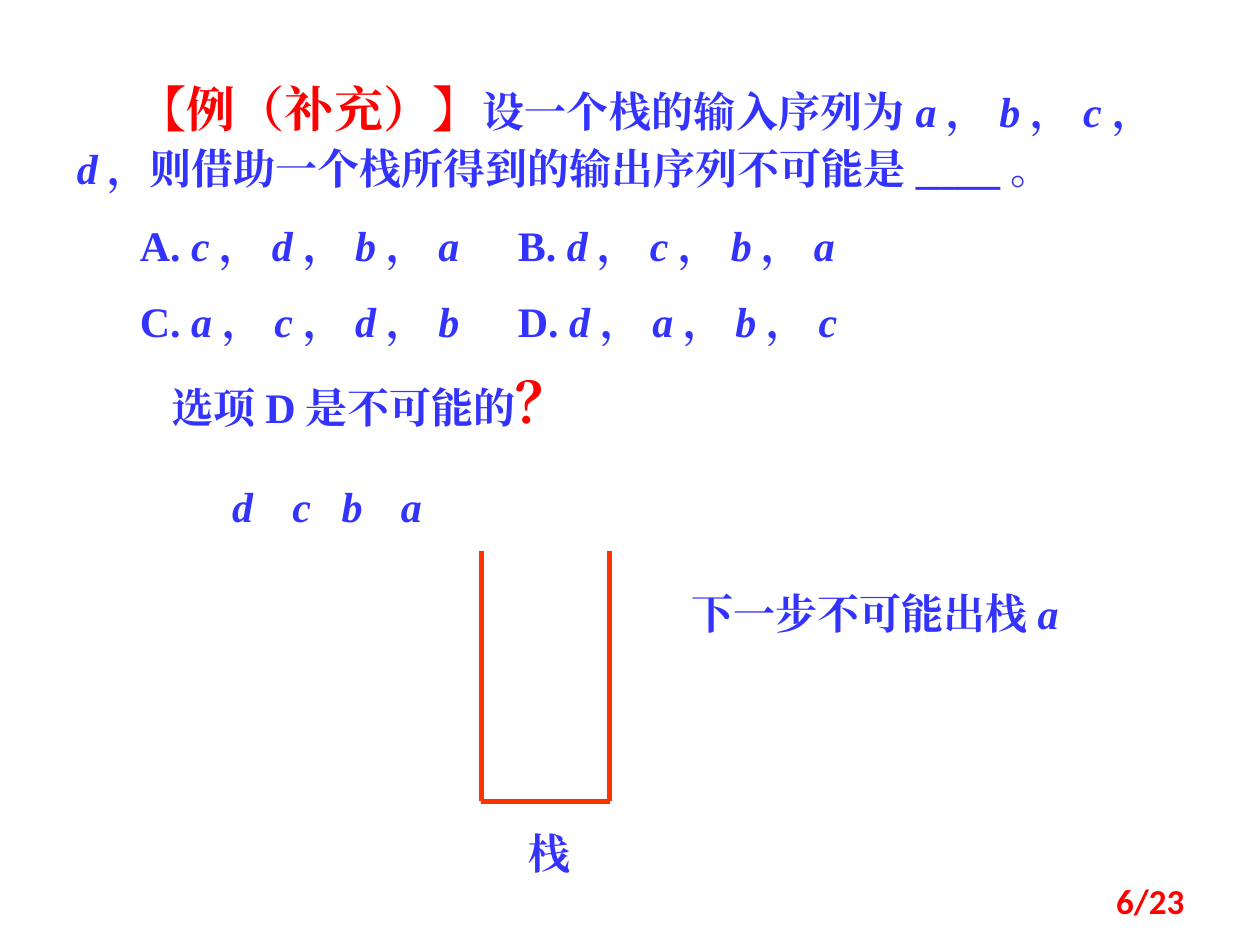
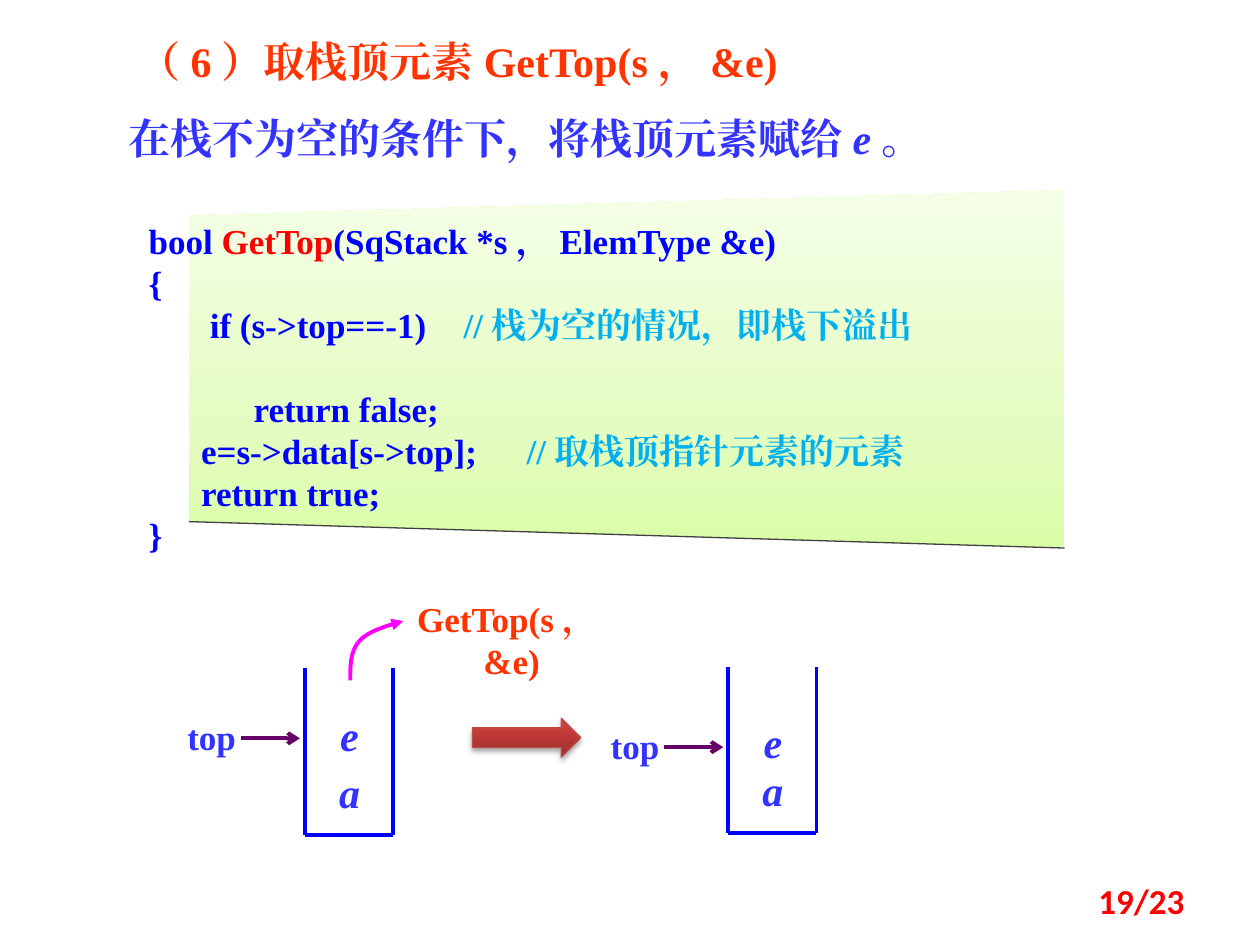
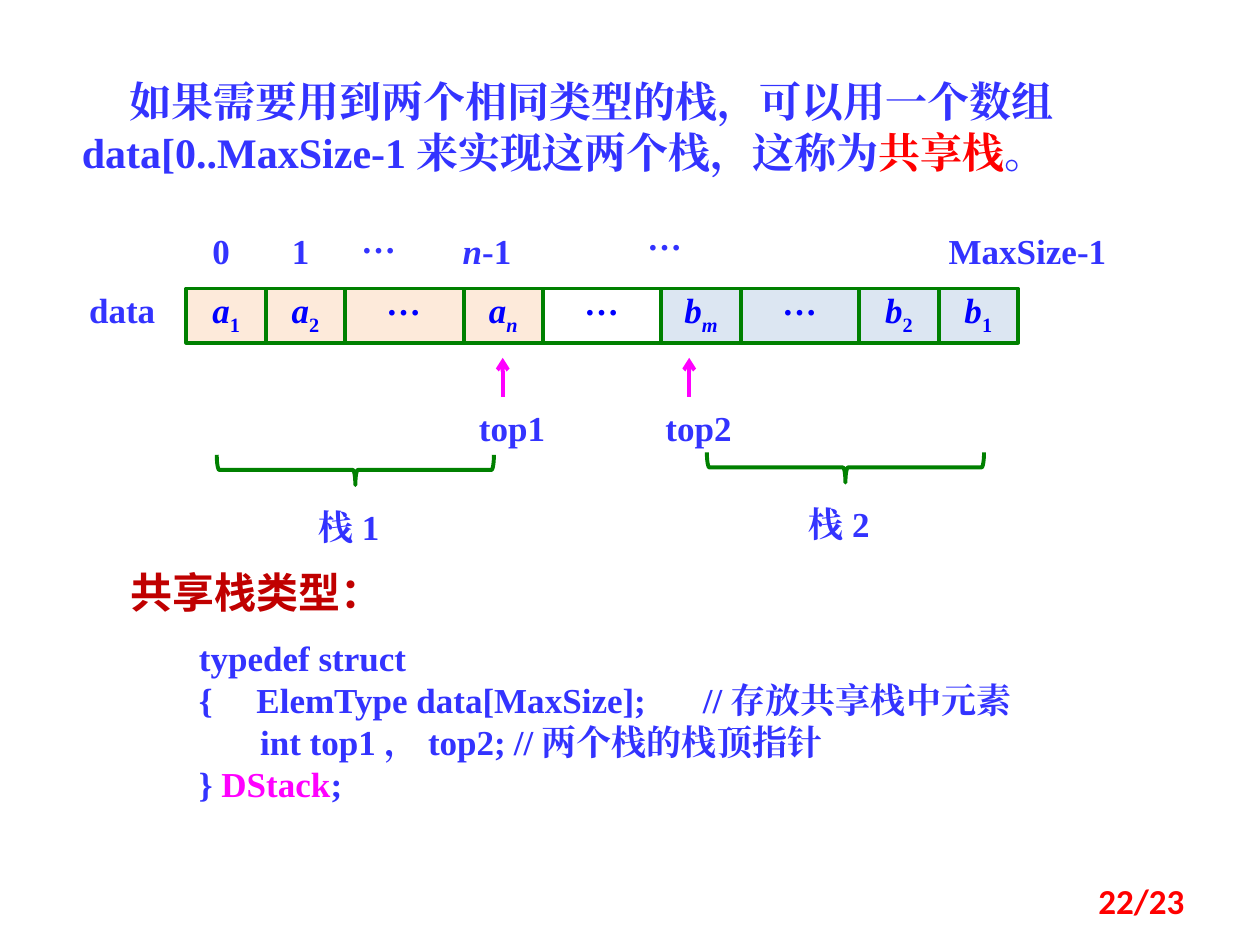
"""Build three slides on stacks: a quiz, the GetTop function and the shared stack."""
from dataclasses import dataclass
from typing import NamedTuple

from lxml.etree import SubElement as Sub
from pptx import Presentation
from pptx.dml.color import RGBColor
from pptx.enum.shapes import MSO_CONNECTOR as Link, MSO_SHAPE as Kind
from pptx.enum.text import MSO_ANCHOR as Anchor, MSO_AUTO_SIZE as Fit, PP_ALIGN as Align
from pptx.oxml.ns import qn
from pptx.util import Inches, Pt

BLUE, RED, ORANGE, PINK = "3333FF", "FF0000", "FF3300", "FF00FF"
CODE, NOTE, GREEN, PLUM = "0000FF", "00B0F0", "008000", "660066"
PEACH, PALE, BRICK = "FDEADA", "DCE6F2", "C00000"
SERIF, SANS, PLAIN = "Times New Roman", "Noto Sans CJK SC", "Calibri"
GAP = 12
FLUSH = (0, 0, 0, 0)
CENTER = Align.CENTER


class Run(NamedTuple):
    text: str
    color: str = ""
    size: float = 0
    italic: bool = False
    sub: bool = False


@dataclass
class Stack:
    x: float
    y: float
    high: float
    arrow: float
    cells: tuple[float, float]


@dataclass
class Cell:
    name: str
    index: str
    fill: str = ""
    slant: bool = False


class Label(NamedTuple):
    text: str
    x: float
    y: float
    w: float


def paint(color: str) -> RGBColor:
    return RGBColor.from_string(color)


def it(text: str) -> Run:
    return Run(text, italic=True)


def series(letters: str) -> list:
    """Set letters in italics with upright commas between them."""
    runs = []
    for letter in letters:
        runs += ["，", it(letter)]
    return runs[1:]


def write(frame, paras: list, *, size=24, color=BLUE, font=SERIF, align=Align.LEFT,
          space=0, lead=None, indent=0, tabs=(), gaps=None, inset=(.1, .05, .1, .05),
          anchor=Anchor.TOP) -> None:
    frame.word_wrap, frame.auto_size, frame.vertical_anchor = True, Fit.NONE, anchor
    (frame.margin_left, frame.margin_top,
     frame.margin_right, frame.margin_bottom) = map(Inches, inset)
    for i, runs in enumerate(paras):
        para = frame.add_paragraph() if i else frame.paragraphs[0]
        props = para._p.get_or_add_pPr()
        props.set("marL", "0")
        props.set("indent", str(Inches(indent)))
        Sub(props, qn("a:buNone"))
        if tabs:
            stops = Sub(props, qn("a:tabLst"))
            for tab in tabs:
                Sub(stops, qn("a:tab"), pos=str(Inches(tab)), algn="l")
        para.alignment = align
        para.space_before = Pt((gaps or {}).get(i, space if i else 0))
        if lead:
            para.line_spacing = lead
        for run in [runs] if isinstance(runs, str) else runs:
            bit = Run(run) if isinstance(run, str) else run
            part = para.add_run()
            part.text = bit.text
            face = part.font
            face.name, face.bold, face.italic = font, True, bit.italic
            face.size = Pt(bit.size or size)
            face.color.rgb = paint(bit.color or color)
            Sub(part._r.rPr, qn("a:ea"), typeface=font)
            if bit.sub:
                part._r.rPr.set("baseline", "-25000")


def place(shape, x: float, y: float, w: float, h: float):
    shape.left, shape.top, shape.width, shape.height = map(Inches, (x, y, w, h))
    return shape.text_frame


def text(slide, x: float, y: float, w: float, h: float, paras: list, **style) -> None:
    box = slide.shapes.add_textbox(*map(Inches, (x, y, w, h)))
    write(box.text_frame, paras, **style)


def tag(slide, x: float, y: float, w: float, runs, size: float = 20, **style) -> None:
    """Write one centred label without insets."""
    text(slide, x, y, w, .4 if size > 20 else .34, [runs], size=size,
         align=CENTER, inset=FLUSH, **style)


def tip(shape, end: str, kind: str) -> None:
    Sub(shape.line._get_or_add_ln(), qn(f"a:{end}End"), type=kind)


def line(slide, x1: float, y1: float, x2: float, y2: float, color: str,
         width: float = 2.25, arrow: bool = False) -> None:
    link = slide.shapes.add_connector(Link.STRAIGHT, *map(Inches, (x1, y1, x2, y2)))
    link.line.color.rgb, link.line.width = paint(color), Pt(width)
    Sub(link._element.spPr, qn("a:effectLst"))
    if arrow:
        tip(link, "tail", "arrow")


def finish(shape, fill: str = "", edge: str = "", width: float = 2.25):
    shape.shadow.inherit = False
    if fill:
        shape.fill.solid()
        shape.fill.fore_color.rgb = paint(fill)
    else:
        shape.fill.background()
    if edge:
        shape.line.color.rgb, shape.line.width = paint(edge), Pt(width)
    else:
        shape.line.fill.background()
    return shape


def shape(slide, kind, x: float, y: float, w: float, h: float, **look):
    return finish(slide.shapes.add_shape(kind, *map(Inches, (x, y, w, h))), **look)


def trace(slide, points: list, close: bool, **look):
    spots = [(Inches(x), Inches(y)) for x, y in points]
    form = slide.shapes.build_freeform(*spots[0], scale=1.0)
    form.add_line_segments(spots[1:], close=close)
    return finish(form.convert_to_shape(), **look)


def grade(form, stops: list) -> None:
    """Fill a shape with a gradient that rises from its foot."""
    form.fill.gradient()
    form.fill.gradient_angle = 90
    steps = form._element.spPr.find(".//" + qn("a:gsLst"))
    for old in list(steps):
        steps.remove(old)
    for pos, color in stops:
        step = Sub(steps, qn("a:gs"), pos=str(pos * 1000))
        Sub(step, qn("a:srgbClr"), val=color)


def shade(form, blur: float, dist: float, alpha: int) -> None:
    effects = form._element.spPr.find(qn("a:effectLst"))
    drop = Sub(effects, qn("a:outerShdw"), blurRad=str(Pt(blur)), dist=str(Pt(dist)),
               dir="5400000", rotWithShape="0")
    Sub(Sub(drop, qn("a:srgbClr"), val="000000"), qn("a:alpha"), val=str(alpha * 1000))


def curve(start: tuple, bends: list, steps: int = 8) -> list:
    """Sample a chain of cubic curves."""
    points = [start]
    for a, b, end in bends:
        start = points[-1]
        for k in range(1, steps + 1):
            t = k / steps
            u = 1 - t
            points.append(tuple(u**3 * p + 3 * u * u * t * q + 3 * u * t * t * r + t**3 * s
                                for p, q, r, s in zip(start, a, b, end)))
    return points


def well(slide, x: float, y: float, w: float, h: float, color: str, width: float) -> None:
    """Draw the open box of a stack."""
    for side in (x, x + w):
        line(slide, side, y, side, y + h, color, width)
    line(slide, x, y + h, x + w, y + h, color, width)


def begin(deck, layout: int, page: int):
    slide = deck.slides.add_slide(deck.slide_layouts[layout])
    text(slide, 7.17, 6.95, 2.33, .4, [f"{page}/23"], size=20, color=RED, font=PLAIN,
         align=Align.RIGHT, anchor=Anchor.MIDDLE)
    return slide


def quiz(deck) -> None:
    slide = begin(deck, 1, 6)
    title, body = slide.placeholders
    write(place(title, .51, .53, 8.83, 1.12),
          [[Run("【例（补充）】", RED, 28), "设一个栈的输入序列为", *series("abcd"),
            "，则借助一个栈所得到的输出序列不可能是____。"]],
          align=Align.JUSTIFY, lead=1.1, indent=.48)
    write(place(body, .51, 1.65, 8.83, 1.24),
          [["\tA. ", *series("cdba"), "\tB. ", *series("dcba")],
           ["\tC. ", *series("acdb"), "\tD. ", *series("dabc")]],
          space=GAP, lead=1.1, tabs=(1, 5))
    well(slide, 3.82, 4.37, 1.02, 1.99, ORANGE, 3)
    for letter, x in zip("dcba", (1.69, 2.16, 2.56, 3.03)):
        tag(slide, x, 3.81, .47, [it(letter)], 24)
    text(slide, 1.06, 2.87, 3.78, .64, [["选项D是不可能的", Run("？", RED, 32)]], align=CENTER)
    tag(slide, 4.13, 6.57, .47, "栈", 24)
    text(slide, 5.39, 4.61, 3.47, .5, [["下一步不可能出栈", it("a")]])


def get_top(deck) -> None:
    slide = begin(deck, 1, 19)
    title, body = slide.placeholders
    write(place(title, .62, .23, 9.08, .57), ["（6）取栈顶元素GetTop(s，&e)"],
          color=ORANGE, indent=.38)
    write(place(body, .62, .8, 9.08, .58),
          [["在栈不为空的条件下，将栈顶元素赋给", it("e"), "。"]], lead=1.1, indent=.3)
    panel = trace(slide, [(1.5, 1.71), (8.45, 1.51), (8.45, 4.35), (1.5, 4.14)], True)
    grade(panel, [(0, "DAFDA7"), (35, "E4FCC2"), (100, "F5FFE7")])
    line(slide, 1.5, 4.14, 8.45, 4.35, "404040", .75)
    text(slide, 1.02, 1.62, 7.34, 2.59,
         [["bool ", Run("GetTop", RED), "(SqStack *s，ElemType &e)"],
          "{",
          ["       if (s->top==-1)\t", Run("//栈为空的情况，即栈下溢出", NOTE)],
          "            return false;",
          ["      e=s->data[s->top];\t", Run("//取栈顶指针元素的元素", NOTE)],
          "      return true;",
          "}"],
         size=20, color=CODE, tabs=(3,), gaps={3: 24}, inset=(.16, .12, .16, .12))

    path = curve((3.2, 4.93), [((3.06, 4.97), (2.92, 5.01), (2.85, 5.09)),
                               ((2.78, 5.17), (2.78, 5.28), (2.78, 5.4))])
    tip(trace(slide, path, False, edge=PINK), "head", "triangle")
    text(slide, 3.12, 4.69, 1.88, .77, ["GetTop(s，&e)"], size=20, color=ORANGE, align=CENTER)
    for stack in (Stack(2.42, 5.3, 1.33, 5.86, (5.63, 6.08)),
                  Stack(5.78, 5.29, 1.32, 5.93, (5.69, 6.07))):
        well(slide, stack.x, stack.y, .7, stack.high, CODE, 2.25)
        line(slide, stack.x - .51, stack.arrow, stack.x - .04, stack.arrow, PLUM, arrow=True)
        tag(slide, stack.x - 1.21, stack.arrow - .18, .94, "top")
        for letter, y in zip("ea", stack.cells):
            tag(slide, stack.x + .04, y, .63, [it(letter)], 24)
    arrow = shape(slide, Kind.RIGHT_ARROW, 3.75, 5.7, .86, .31, edge="BF4C48", width=.75)
    grade(arrow, [(0, "9C2F2D"), (80, "CB3E3A"), (100, "CE3B37")])
    shade(arrow, 3.1, 1.8, 35)


def shared(deck) -> None:
    slide = begin(deck, 5, 22)
    write(place(slide.shapes.title, .55, .55, 8.52, .91),
          [["如果需要用到两个相同类型的栈，可以用一个数组data[0..MaxSize-1来实现这两个栈，这称为",
            Run("共享栈", RED), "。"]], indent=.38)
    x = 1.48
    for cell in (Cell("a", "1", PEACH), Cell("a", "2", PEACH), Cell("…", "", PEACH),
                 Cell("a", "n", PEACH, True), Cell("…", ""), Cell("b", "m", PALE, True),
                 Cell("…", "", PALE), Cell("b", "2", PALE), Cell("b", "1", PALE)):
        wide = .63 if cell.index else .94
        box = shape(slide, Kind.RECTANGLE, x, 2.29, wide, .43, fill=cell.fill, edge=GREEN)
        runs = ([it(cell.name), Run(cell.index, italic=cell.slant, sub=True)]
                if cell.index else cell.name)
        write(box.text_frame, [runs], size=20, color=CODE, font=SERIF if cell.index else SANS,
              align=CENTER, anchor=Anchor.MIDDLE, inset=(.1, 0, .1, .05))
        x += wide

    for label in (Label("0", 1.56, 1.82, .39), Label("1", 2.19, 1.82, .39),
                  Label("MaxSize-1", 7.49, 1.82, 1.33), Label("data", .62, 2.29, .7)):
        tag(slide, label.x, label.y, label.w, label.text)
    tag(slide, 3.67, 1.82, .39, [it("n"), "-1"])
    for x, y in ((2.81, 1.82), (5.08, 1.8)):
        tag(slide, x, y, .39, "…", font=SANS)
    for i, (x, mid, y) in enumerate(((3.99, 2.82, 3.73), (5.47, 6.71, 3.71)), 1):
        line(slide, x, 3.15, x, 2.84, PINK, arrow=True)
        tag(slide, x - .24, 3.23, .63, f"top{i}")
        brace = shape(slide, Kind.RIGHT_BRACE, mid - .12, y - 1.1, .24, 2.2, edge=GREEN)
        brace.rotation = 90
        tag(slide, mid - .4, y + .28, .7, f"栈{i}")

    text(slide, .94, 4.45, 2.42, .5, ["共享栈类型："], color=BRICK, font=SANS)
    text(slide, 1.48, 5, 7.11, 1.45,
         ["typedef struct",
          "{     ElemType data[MaxSize];\t//存放共享栈中元素",
          "       int top1，top2;\t//两个栈的栈顶指针",
          ["} ", Run("DStack", PINK), ";"]], size=20, tabs=(4,))


def main() -> None:
    deck = Presentation()
    deck.slide_width, deck.slide_height = Inches(10), Inches(7.5)
    for build in (quiz, get_top, shared):
        build(deck)
    deck.save("out.pptx")


if __name__ == "__main__":
    main()
